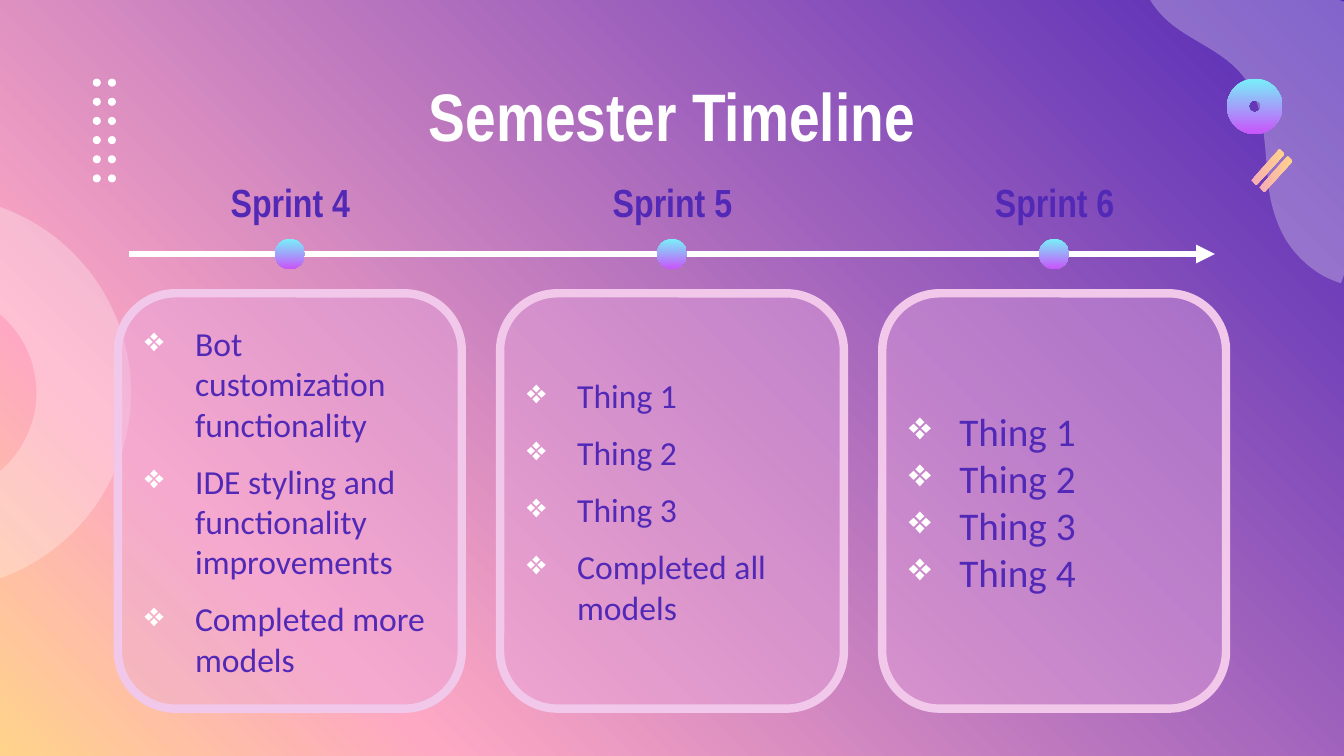
from lxml import etree
from pptx import Presentation
from pptx.dml.color import RGBColor
from pptx.enum import shapes, text
from pptx.oxml import ns
from pptx.util import Inches, Pt

WHITE = RGBColor(0xFF, 0xFF, 0xFF)
PURPLE = RGBColor(0x52, 0x29, 0xB7)
PINK = RGBColor(0xFE, 0xA8, 0xC3)
ROSE = RGBColor(0xF7, 0xAB, 0xB7)
GOLD = RGBColor(0xFF, 0xD3, 0x8B)
CYAN = RGBColor(0x78, 0xF0, 0xF9)
VIOLET = RGBColor(0xC9, 0x54, 0xFA)
CARD_FILL = RGBColor(0xE9, 0xAB, 0xE0)
CARD_EDGE = RGBColor(0xF1, 0xC7, 0xEA)

BACKDROP = [(0, PURPLE), (79, PINK), (100, GOLD)]
BEAD = [(0, CYAN), (100, VIOLET)]
STRIPE = [(0, ROSE), (100, GOLD)]

SPRINTS = [
    ("Sprint 4", 24, 12, ["Bot customization functionality",
                          "IDE styling and functionality improvements",
                          "Completed more models"]),
    ("Sprint 5", 24, 12, ["Thing 1", "Thing 2", "Thing 3", "Completed all models"]),
    ("Sprint 6", 28, 0, ["Thing 1", "Thing 2", "Thing 3", "Thing 4"]),
]
CARD_LEFT, CARD_PITCH, CARD_WIDTH = 1.17, 3.79, 3.41
AXIS_Y = 2.52

BLOB_START = (11.28, -0.7)
BLOB_CURVES = [
    [(11.21, -0.36), (11.34, 0.02), (11.62, 0.24)],
    [(11.87, 0.44), (12.21, 0.54), (12.38, 0.83)],
    [(12.57, 1.15), (12.54, 1.55), (12.59, 1.91)],
    [(12.62, 2.09), (12.68, 2.27), (12.78, 2.42)],
    [(12.87, 2.55), (12.99, 2.66), (13.13, 2.74)],
    [(13.19, 2.77), (13.24, 2.79), (13.3, 2.81)],
]
BLOB_CORNER = (14.17, 0.31)


def assign(target, values):
    for name, value in values.items():
        setattr(target, name, value)


def add_child(parent, tag, **attributes):
    return etree.SubElement(parent, ns.qn(tag), attributes)


def flatten(start, curves, steps=12):
    """Turn a chain of cubic Bezier curves into a list of points."""
    points = [start]
    for b, c, d in curves:
        a = points[-1]
        for step in range(1, steps + 1):
            t = step / steps
            weights = ((1 - t) ** 3, 3 * t * (1 - t) ** 2, 3 * t * t * (1 - t), t ** 3)
            points.append(tuple(sum(w * p[axis] for w, p in zip(weights, (a, b, c, d)))
                                for axis in (0, 1)))
    return points


class TimelinePage:
    heading_font = "Arial Narrow"
    body_font = "Calibri"

    def __init__(self, deck):
        self.page = deck.slides.add_slide(deck.slide_layouts[5])
        self.gradient(self.page.background.fill, self.page.element, BACKDROP, 135)

    def gradient(self, fill, element, stops, angle):
        """Fill with colour stops in percent; the angle runs clockwise."""
        fill.gradient()
        fill.gradient_angle = (360 - angle) % 360
        stop_list = element.find(".//" + ns.qn("a:gsLst"))
        stop_list.clear()
        for position, color in stops:
            stop = add_child(stop_list, "a:gs", pos=str(position * 1000))
            add_child(stop, "a:srgbClr", val=str(color))

    def paint(self, shape, color=None, opacity=100, stops=None, angle=90):
        shape.shadow.inherit = False
        shape.line.fill.background()
        if stops:
            self.gradient(shape.fill, shape.element, stops, angle)
            return shape
        shape.fill.solid()
        shape.fill.fore_color.rgb = color
        if opacity < 100:
            tint = shape.element.spPr.find(".//" + ns.qn("a:srgbClr"))
            add_child(tint, "a:alpha", val=str(opacity * 1000))
        return shape

    def preset(self, kind, left, top, width, height, **look):
        shape = self.page.shapes.add_shape(
            kind, Inches(left), Inches(top), Inches(width), Inches(height))
        return self.paint(shape, **look)

    def ring(self, left, top, size, thickness, **look):
        shape = self.preset(shapes.MSO_SHAPE.DONUT, left, top, size, size, **look)
        shape.adjustments[0] = thickness

    def outline(self, points, **look):
        corners = [(Inches(x), Inches(y)) for x, y in points]
        builder = self.page.shapes.build_freeform(*corners[0])
        builder.add_line_segments(corners[1:], close=True)
        self.paint(builder.convert_to_shape(), **look)

    def arrow(self, left, right, y):
        line = self.page.shapes.add_connector(
            shapes.MSO_CONNECTOR.STRAIGHT, Inches(left), Inches(y), Inches(right), Inches(y))
        line.line.color.rgb = WHITE
        line.line.width = Pt(4.5)
        props = line.element.spPr
        add_child(props.find(ns.qn("a:ln")), "a:tailEnd", type="triangle")
        add_child(props, "a:effectLst")

    def add_words(self, para, words, size, color, font, bold=False):
        span = para.add_run()
        span.text = words
        assign(span.font, {"size": Pt(size), "name": font, "bold": bold})
        span.font.color.rgb = color

    def heading(self, box, words, size, color):
        box.text_frame.word_wrap = True
        para = box.text_frame.paragraphs[0]
        para.alignment = text.PP_ALIGN.CENTER
        self.add_words(para, words, size, color, self.heading_font, True)

    def title(self, words):
        box = self.page.shapes.title
        assign(box, {"left": Inches(1.05), "top": Inches(0.78),
                     "width": Inches(11.23), "height": Inches(0.71)})
        assign(box.text_frame, {"auto_size": text.MSO_AUTO_SIZE.NONE,
                                "vertical_anchor": text.MSO_ANCHOR.MIDDLE})
        self.heading(box, words, 48, WHITE)

    def label(self, words, left):
        box = self.page.shapes.add_textbox(
            Inches(left), Inches(1.72), Inches(1.57), Inches(0.57))
        self.heading(box, words, 28, PURPLE)

    def card(self, left, items, size, gap):
        box = self.preset(shapes.MSO_SHAPE.ROUNDED_RECTANGLE, left, 2.91, CARD_WIDTH, 4.12,
                          color=CARD_FILL, opacity=40)
        box.line.color.rgb = CARD_EDGE
        box.line.width = Pt(6)
        frame = box.text_frame
        assign(frame, {"word_wrap": True, "vertical_anchor": text.MSO_ANCHOR.MIDDLE})
        for index, item in enumerate(items):
            para = frame.add_paragraph() if index else frame.paragraphs[0]
            assign(para, {"alignment": text.PP_ALIGN.LEFT, "space_after": Pt(gap)})
            self.bullet(para)
            self.add_words(para, item, size, PURPLE, self.body_font)

    def bullet(self, para):
        props = para._p.get_or_add_pPr()
        props.set("marL", str(Inches(0.5)))
        props.set("indent", str(-Inches(0.5)))
        add_child(add_child(props, "a:buClr"), "a:srgbClr", val=str(WHITE))
        add_child(props, "a:buChar", char="❖")


def main():
    deck = Presentation()
    assign(deck, {"slide_width": Inches(13.33), "slide_height": Inches(7.5)})
    timeline = TimelinePage(deck)
    oval = shapes.MSO_SHAPE.OVAL

    timeline.ring(-2.61, 1.94, 3.91, 0.24, color=WHITE, opacity=28)
    timeline.outline(flatten(BLOB_START, BLOB_CURVES) + [BLOB_CORNER], color=WHITE, opacity=28)
    timeline.arrow(1.28, 12.05, AXIS_Y)
    timeline.title("Semester Timeline")

    for column in range(2):
        for row in range(6):
            timeline.preset(oval, 0.92 + 0.15 * column, 0.78 + 0.19 * row, 0.08, 0.08,
                            color=WHITE)

    timeline.ring(12.17, 0.78, 0.55, 0.39, stops=BEAD)
    for x, y in [(12.41, 1.48), (12.49, 1.55)]:
        corners = [(x, y + 0.31), (x + 0.28, y), (x + 0.33, y + 0.05), (x + 0.05, y + 0.36)]
        timeline.outline(corners, stops=STRIPE, angle=0)

    for index, (name, size, gap, items) in enumerate(SPRINTS):
        left = CARD_LEFT + CARD_PITCH * index
        center = left + CARD_WIDTH / 2
        timeline.card(left, items, size, gap)
        timeline.preset(oval, center - 0.15, AXIS_Y - 0.15, 0.3, 0.3, stops=BEAD)
        timeline.label(name, center - 0.78)

    deck.save("out.pptx")


if __name__ == "__main__":
    main()
